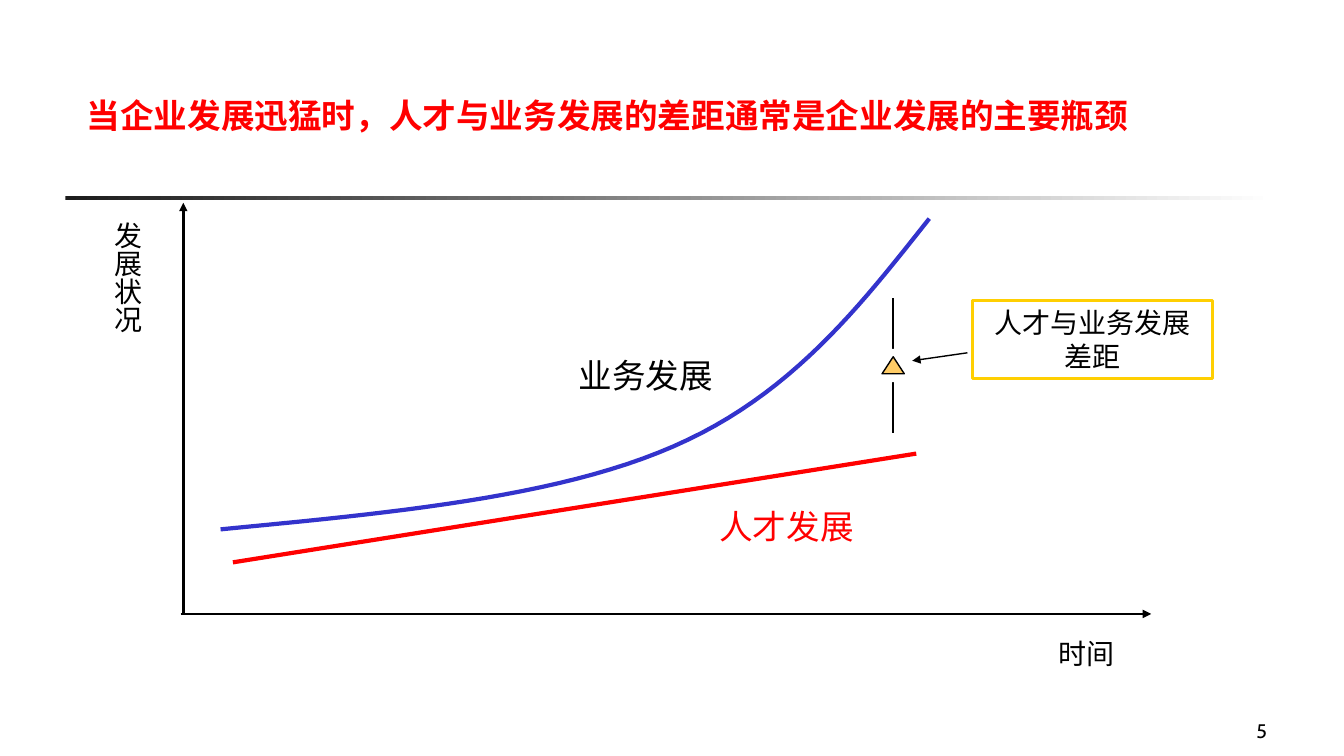
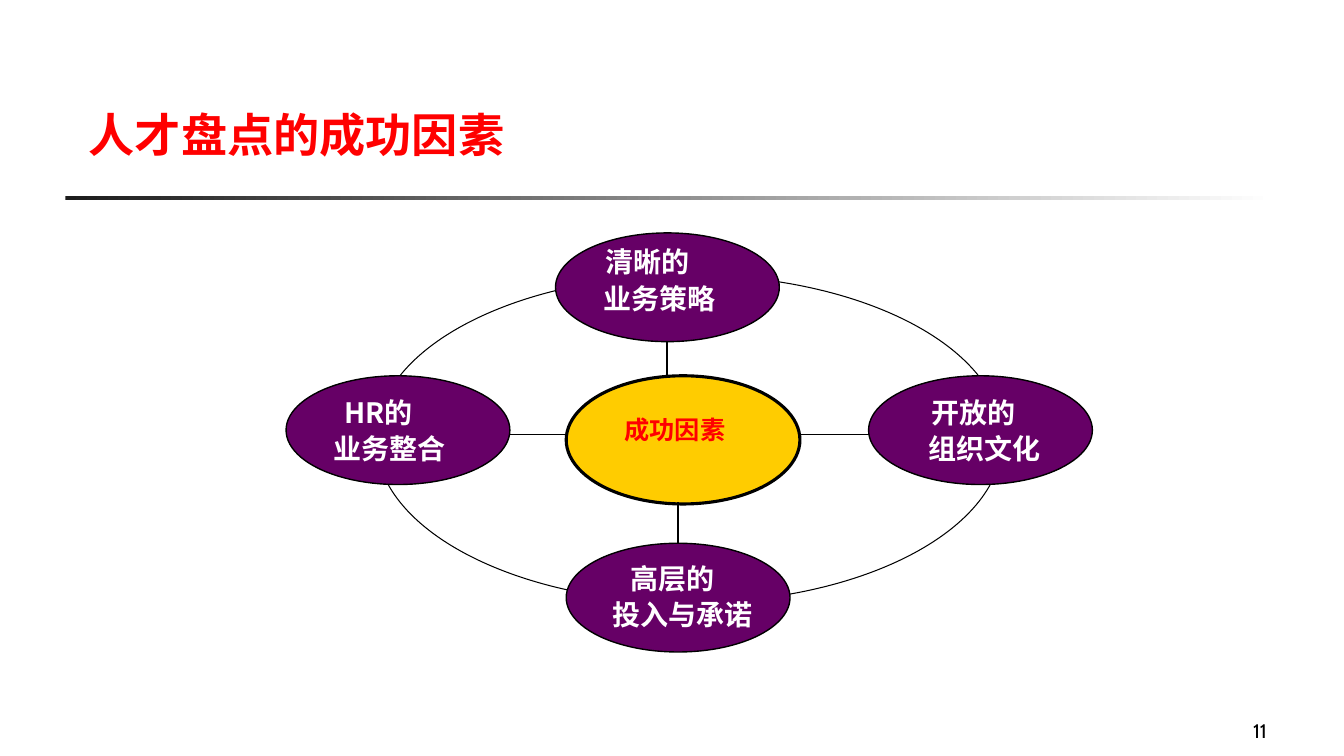
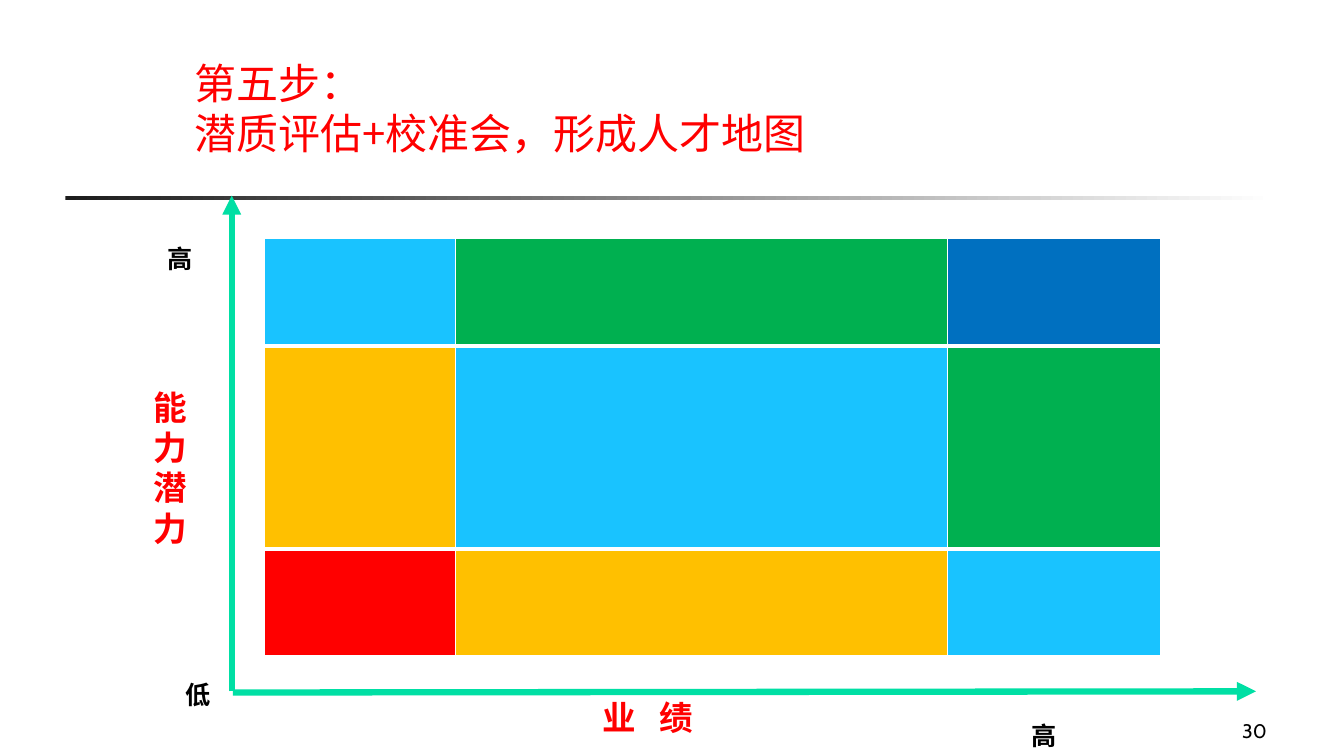
from dataclasses import dataclass

from lxml import etree
from pptx import Presentation
from pptx import util as u
from pptx.dml.color import RGBColor
from pptx.enum import shapes as es, text as et
from pptx.oxml.ns import qn


@dataclass(frozen=True)
class Theme:
    cjk: str = "Noto Sans CJK SC"
    latin: str = "Cabin"
    black: str = "000000"
    white: str = "FFFFFF"
    red: str = "FF0000"
    bar: str = "1C1C1C"
    blue: str = "3333CC"
    marker: str = "FFCC66"
    callout: str = "FFCF01"
    purple: str = "660066"
    gold: str = "FFCC00"
    mint: str = "00DFA4"
    sky: str = "19C3FF"
    green: str = "00B050"
    navy: str = "0070C0"
    amber: str = "FFC000"
    page: int = 14
    small: int = 18
    body: int = 20
    large: int = 24


T = Theme()
LEFT, CENTER, RIGHT = et.PP_ALIGN.LEFT, et.PP_ALIGN.CENTER, et.PP_ALIGN.RIGHT
TOP, MIDDLE, BOTTOM = (et.MSO_ANCHOR.TOP, et.MSO_ANCHOR.MIDDLE,
                       et.MSO_ANCHOR.BOTTOM)
RECT, OVAL = es.MSO_SHAPE.RECTANGLE, es.MSO_SHAPE.OVAL

# Content; every box is left, top, width, height in cm
SLIDE = (33.87, 19.05)
BAR = (1.65, 4.95, 30.46, 0.08)
PAGE = (25.12, 17.56, 7.06, 1.27)

GROWTH = dict(
    title="当企业发展迅猛时，人才与业务发展的差距通常是企业发展的主要瓶颈",
    box=(1.93, 1.73, 28.3, 2.36), size=24, bold=True, anchor=MIDDLE, page="5")
BUSINESS_CURVE = [
    [(5.56, 13.34), (9.78, 12.93), (14, 12.55), (16.97, 11.25)],
    [(16.97, 11.25), (19.94, 9.96), (21.67, 7.72), (23.42, 5.51)],
]
TALENT_LINE = (5.87, 14.17, 23.09, 11.43)
GAP_LINE = (22.5, 7.52, 22.5, 10.9)
GAP_MASK = (21.67, 8.79, 1.98, 0.84)
GAP_MARKER = (22.23, 8.99, 0.56, 0.43)
GAP_CALLOUT = ("人才与业务发展差距", (24.51, 7.57, 6.05, 1.96))
# from x, from y, to x, to y, width in points
GROWTH_ARROWS = [
    (24.38, 8.89, 22.99, 9.09, 1),
    (4.62, 15.44, 4.62, 5.11, 2),
    (4.55, 15.47, 29.01, 15.47, 2),
]
GROWTH_LABELS = [
    ("业务发展", (14.33, 8.82, 3.94, 1.3), dict(size=T.large)),
    ("人才发展", (17.88, 12.62, 3.94, 1.3), dict(size=T.large, color=T.red)),
    ("时间", (25.75, 15.92, 3.25, 1.14), dict(align=CENTER)),
    ("发展状况", (2.39, 5.35, 1.37, 4), dict(vertical=True)),
]

FACTORS = dict(title="人才盘点的成功因素", box=(1.98, 2.54, 28.3, 1.73),
               size=33, bold=True, anchor=TOP, page="11")
RING = (9.47, 6.93, 15.8, 8.26)
OVAL_SIZE = (5.64, 2.74)
CORE = (14.27, 9.47, 5.89, 3.23)
CORE_LABEL = ("成功因素", (15.49, 10.31, 3.61, 1.07))
# oval position, text position, lines, indent of each line
FACTOR_OVALS = [
    ((14.27, 13.69), (15.19, 14.02), ["高层的", "投入与承诺"], [0.44, 0]),
    ((7.21, 9.47), (7.99, 9.83), ["HR的", "业务整合"], [0.44, 0.16]),
    ((14, 5.87), (14.79, 6.04), ["清晰的", "业务策略"], [0.22, 0.16]),
    ((21.89, 9.47), (23, 9.83), ["开放的", "组织文化"], [0.22, 0.16]),
]
FACTOR_TEXT = (4.19, 2.2)
SPOKES = [
    (16.81, 8.61, 16.81, 9.47),
    (12.85, 10.95, 14.27, 10.95),
    (20.19, 10.95, 21.89, 10.95),
    (17.09, 12.65, 17.09, 13.69),
]

TALENT_MAP = dict(title="第五步：\v潜质评估+校准会，形成人才地图",
                  box=(4.65, 1.32, 22.4, 3.18), size=30, bold=False,
                  anchor=TOP, page="30")
MAP_AT = (6.67, 6.02)
MAP_COLS = [4.8, 12.4, 5.38]
MAP_ROWS = [2.69, 5.13, 2.69]
MAP_FILLS = [
    [T.sky, T.green, T.navy],
    [T.amber, T.sky, T.green],
    [T.red, T.amber, T.sky],
]
# edge below the first row, shared with the top of the second
MAP_EDGES = ["a:lnB", "a:lnT", None]
MAP_EDGE_WIDTH = 3
MAP_AXES = [(5.84, 17.42, 5.84, 4.93), (5.87, 17.45, 31.65, 17.42)]
AXIS_NAME = dict(size=T.large, color=T.red, bold=True)
AXIS_END = dict(size=T.small, bold=True)
MAP_LABELS = [
    (list("能力潜力"), (3.63, 9.62, 1.52, 4.37), AXIS_NAME),
    ("业 绩", (14.94, 17.44, 8.74, 1.3), dict(AXIS_NAME, spacing=5.6)),
    ("高", (3.98, 6, 1.9, 1.02), AXIS_END),
    ("低", (4.42, 16.99, 1.9, 1.02), AXIS_END),
    ("高", (25.75, 18.03, 1.9, 1.02), AXIS_END),
]


# Drawing helpers
def cm(values):
    return [u.Cm(v) for v in values]


def rgb(color):
    return RGBColor.from_string(color)


def assign(obj, **values):
    for name, value in values.items():
        setattr(obj, name, value)


def write(s, lines, size=T.body, color=T.black, bold=False, align=LEFT,
          anchor=TOP, font=T.cjk, indents=(), gap=0, spacing=0,
          vertical=False):
    tf = s.text_frame
    assign(tf, word_wrap=True, auto_size=et.MSO_AUTO_SIZE.NONE,
           vertical_anchor=anchor)
    if vertical:
        s.element.txBody.find(qn("a:bodyPr")).set("vert", "eaVert")
    lines = [lines] if isinstance(lines, str) else lines
    for i, line in enumerate(lines):
        p = tf.paragraphs[0] if i == 0 else tf.add_paragraph()
        p.text = line
        p.alignment = align
        if i and gap:
            p.space_before = u.Pt(gap)
        if indents:
            p._p.get_or_add_pPr().set("marL", str(u.Cm(indents[i])))
        for r in p.runs:
            assign(r.font, size=u.Pt(size), bold=bold, name=font)
            r.font.color.rgb = rgb(color)
            rPr = r.font._element
            etree.SubElement(rPr, qn("a:ea")).set("typeface", font)
            if spacing:
                rPr.set("spc", str(round(spacing * 100)))


def add_text(slide, lines, box, **fmt):
    write(slide.shapes.add_textbox(*cm(box)), lines, **fmt)


def outline(s, color, width):
    s.line.color.rgb = rgb(color)
    s.line.width = u.Pt(width)


def add_shape(slide, kind, box, fill=None, line=None, width=1):
    s = slide.shapes.add_shape(kind, *cm(box))
    s.shadow.inherit = False
    if fill:
        s.fill.solid()
        s.fill.fore_color.rgb = rgb(fill)
    else:
        s.fill.background()
    if line:
        outline(s, line, width)
    else:
        s.line.fill.background()
    return s


def add_line(slide, ends, color=T.black, width=1, arrow=False):
    s = slide.shapes.add_connector(es.MSO_CONNECTOR.STRAIGHT, *cm(ends))
    outline(s, color, width)
    if arrow:
        etree.SubElement(s.line._get_or_add_ln(),
                         qn("a:tailEnd")).set("type", "triangle")
    etree.SubElement(s.element.spPr, qn("a:effectLst"))


def bezier(points, t):
    weights = ((1 - t) ** 3, 3 * t * (1 - t) ** 2, 3 * t * t * (1 - t), t ** 3)
    return [sum(w * pt[axis] for w, pt in zip(weights, points))
            for axis in (0, 1)]


def add_curve(slide, segments, color, width, steps=24):
    track = [cm(bezier(seg, i / steps))
             for seg in segments for i in range(steps + 1)]
    builder = slide.shapes.build_freeform(*track[0])
    builder.add_line_segments(track[1:], close=False)
    s = builder.convert_to_shape()
    s.shadow.inherit = False
    s.fill.background()
    outline(s, color, width)


def add_cell_edge(cell, tag, color, width):
    ln = etree.Element(qn(tag), w=str(u.Pt(width)))
    fill = etree.SubElement(ln, qn("a:solidFill"))
    etree.SubElement(fill, qn("a:srgbClr")).set("val", color)
    cell._tc.get_or_add_tcPr().insert(0, ln)


# Shared frame: title, page number and the fading bar
def new_slide(prs, title, box, page, **fmt):
    slide = prs.slides.add_slide(prs.slide_layouts[5])
    s = slide.shapes.title
    assign(s, **dict(zip(("left", "top", "width", "height"), cm(box))))
    write(s, title, color=T.red, **fmt)
    add_text(slide, page, PAGE, size=T.page, font=T.latin, align=RIGHT,
             anchor=BOTTOM)
    return slide


def add_bar_to_layout(slide):
    s = add_shape(slide, RECT, BAR)
    s.fill.gradient()
    s.fill.gradient_angle = 0
    for stop, color, at in zip(s.fill.gradient_stops, (T.bar, T.white), (0, 1)):
        stop.color.rgb = rgb(color)
        stop.position = at
    slide.slide_layout.shapes.element.append(s.element)


# Slides
def growth_slide(prs):
    slide = new_slide(prs, **GROWTH)
    add_bar_to_layout(slide)
    add_line(slide, GAP_LINE)
    add_shape(slide, RECT, GAP_MASK, T.white)
    add_curve(slide, BUSINESS_CURVE, T.blue, 3)
    add_line(slide, TALENT_LINE, T.red, 3)
    add_shape(slide, es.MSO_SHAPE.ISOSCELES_TRIANGLE, GAP_MARKER, T.marker,
              T.black)
    caption, box = GAP_CALLOUT
    write(add_shape(slide, RECT, box, T.white, T.callout, 2), caption,
          align=CENTER, anchor=MIDDLE)
    for *ends, width in GROWTH_ARROWS:
        add_line(slide, ends, width=width, arrow=True)
    for label, box, fmt in GROWTH_LABELS:
        add_text(slide, label, box, **fmt)


def factors_slide(prs):
    slide = new_slide(prs, **FACTORS)
    add_shape(slide, OVAL, RING, None, T.black, 0.75)
    for oval_at, text_at, lines, indents in FACTOR_OVALS:
        add_shape(slide, OVAL, oval_at + OVAL_SIZE, T.purple, T.black)
        add_text(slide, lines, text_at + FACTOR_TEXT, color=T.white, bold=True,
                 indents=indents, gap=2)
    add_shape(slide, OVAL, CORE, T.gold, T.black, 2.25)
    add_text(slide, *CORE_LABEL, size=T.small, color=T.red, bold=True)
    for ends in SPOKES:
        add_line(slide, ends)


def map_slide(prs):
    slide = new_slide(prs, **TALENT_MAP)
    size = (sum(MAP_COLS), sum(MAP_ROWS))
    table = slide.shapes.add_table(len(MAP_ROWS), len(MAP_COLS),
                                   *cm(MAP_AT + size)).table
    table.horz_banding = False
    for col, width in zip(table.columns, MAP_COLS):
        col.width = u.Cm(width)
    for row, height, fills, edge in zip(table.rows, MAP_ROWS, MAP_FILLS,
                                        MAP_EDGES):
        row.height = u.Cm(height)
        for cell, fill in zip(row.cells, fills):
            cell.fill.solid()
            cell.fill.fore_color.rgb = rgb(fill)
            if edge:
                add_cell_edge(cell, edge, T.white, MAP_EDGE_WIDTH)
    for ends in MAP_AXES:
        add_line(slide, ends, T.mint, 4.5, arrow=True)
    for label, box, fmt in MAP_LABELS:
        add_text(slide, label, box, **fmt)


def main():
    prs = Presentation()
    prs.slide_width, prs.slide_height = cm(SLIDE)
    for build in (growth_slide, factors_slide, map_slide):
        build(prs)
    prs.save("out.pptx")


if __name__ == "__main__":
    main()
